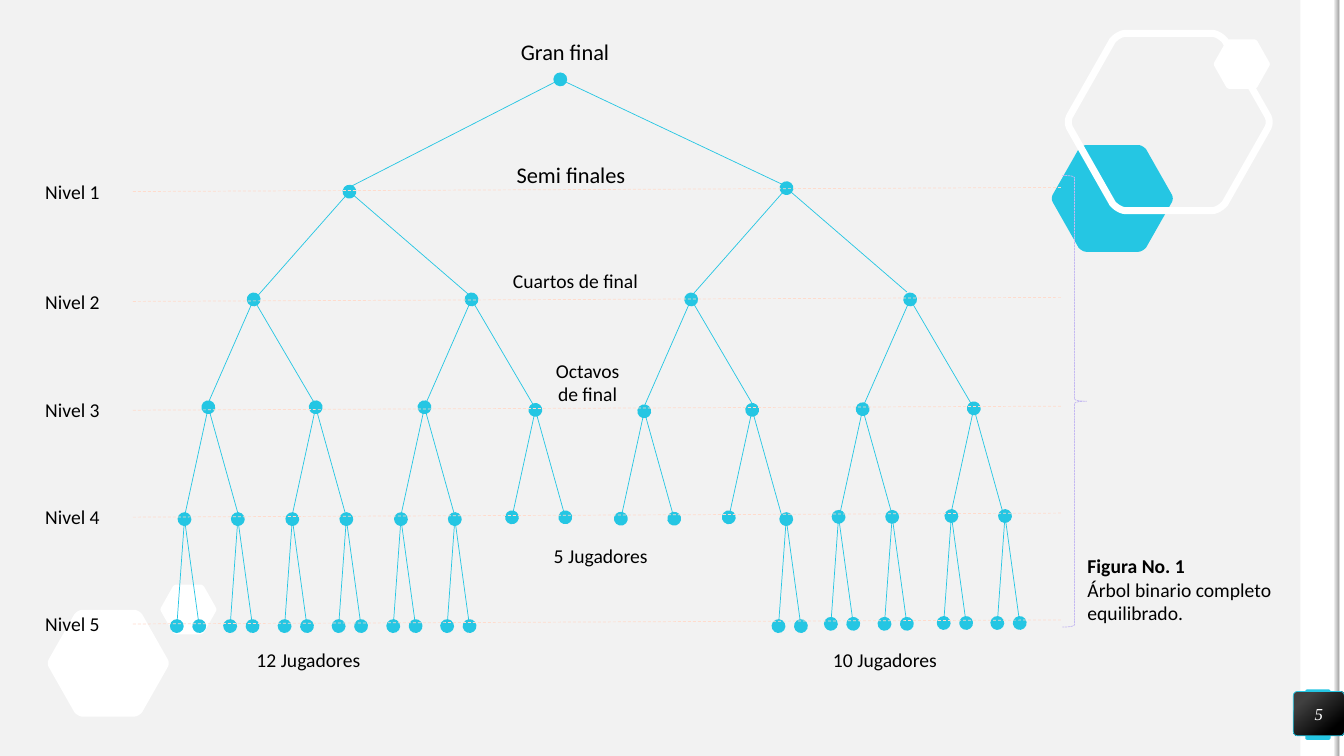
import pptx
import pptx.dml.color
import pptx.enum.dml
import pptx.enum.shapes
import pptx.enum.text
import pptx.oxml
import pptx.oxml.ns
import pptx.util

Pt = pptx.util.Pt
SHAPE = pptx.enum.shapes.MSO_SHAPE
DASH = pptx.enum.dml.MSO_LINE
ALIGN = pptx.enum.text.PP_ALIGN
NAMESPACE = pptx.oxml.ns.nsdecls("a")

COLOURS = {
    "page": "F2F2F2", "white": "FFFFFF", "black": "000000", "cyan": "25C6E3",
    "edge": "A6A6A6", "charcoal": "404040", "peach": "FFDBCC", "lilac": "C4B9F1",
}

TOP_LEFT_CORNER = [(0.289, 0), (0.264, 0), (0.24, 0.019), (0.223, 0.04)]
LEFT_CORNER = [(0.016, 0.456), (0, 0.483), (0, 0.517), (0.016, 0.544)]

HEXAGONS = [
    (33.8, 435.6, 87.1, 76.3, "white", None),
    (751, 103.6, 87.1, 76.3, "cyan", None),
    (762.5, 23.8, 144.7, 126.7, None, "white"),
    (114.5, 417.6, 40.3, 35.5, "white", None),
    (866.9, 28.1, 40.3, 35.5, "white", None),
]

# Each level: offsets to the left and right child, then forks as (x, y, dotted children).
LEVELS = [
    ((-5.5, 76.4), (10.5, 76.4),
     [(x, 370.8, "LR") for x in (131.8, 169.9, 208.8, 247.4, 286.4, 324.9, 561.6)]
     + [(599, 369.2, "LR"), (637.3, 369.2, "LR"), (679.6, 368.6, "LR"), (717.9, 368.6, "LR")]),
    ((-16.7, 76.7), (21.4, 76.7),
     [(148.8, 290.9, ""), (225.5, 290.9, ""), (303.2, 290.9, ""), (382.4, 292.8, "LR"),
      (460.2, 293.8, "LR"), (537.3, 292.8, "L"), (616.2, 292.3, ""), (695.6, 291.7, "")]),
    ((-33.8, 77), (43.9, 74.9),
     [(x, 213.9, "") for x in (181.2, 336.8, 493.7, 650.1)]),
    ((-67.5, 76.6), (86, 74.2), [(249.6, 136.9, ""), (561.8, 134.4, "")]),
    ((-150.5, 77), (161.3, 76.3), [(400.2, 56.7, "")]),
]

ROUNDS = [
    ("Gran final", 347.8, 23.8, 111.6, 16),
    ("Semi finales", 332.6, 111.6, 150.5, 16),
    ("Cuartos de final", 344.9, 188.6, 132.5, 14),
    ("Octavos\nde final", 353.5, 252.7, 132.5, 14),
    ("5 Jugadores", 362.9, 385.2, 132.5, 14),
    ("12 Jugadores", 154.1, 459.4, 132.5, 14),
    ("10 Jugadores", 565.9, 459.4, 132.5, 14),
]

LEVEL_LINES = [136.8, 215.3, 293, 369.4, 445.7]


def colour(name):
    return pptx.dml.color.RGBColor.from_string(COLOURS[name])


def paint(shape, fill=None, line=None, width=0.5):
    shape.shadow.inherit = False
    if fill:
        shape.fill.solid()
        shape.fill.fore_color.rgb = colour(fill)
    else:
        shape.fill.background()
    if line:
        shape.line.color.rgb = colour(line)
        shape.line.width = Pt(width)
    else:
        shape.line.fill.background()


def add_block(page, kind, left, top, width, height, fill=None, line=None):
    block = page.shapes.add_shape(kind, Pt(left), Pt(top), Pt(width), Pt(height))
    paint(block, fill, line)
    return block


def shade(shape, stops, angle):
    shape.fill.gradient()
    shape.fill.gradient_angle = angle
    for stop, (name, position) in zip(shape.fill.gradient_stops, stops):
        stop.color.rgb = colour(name)
        stop.position = position


def curve(corner, steps=6):
    for step in range(steps + 1):
        t = step / steps
        weights = ((1 - t) ** 3, 3 * t * (1 - t) ** 2, 3 * t * t * (1 - t), t ** 3)
        yield tuple(sum(w * point[axis] for w, point in zip(weights, corner)) for axis in (0, 1))


def add_hexagon(page, left, top, width, height, fill, line):
    upper = list(curve(TOP_LEFT_CORNER))
    half = upper + list(curve(LEFT_CORNER)) + [(x, 1 - y) for x, y in reversed(upper)]
    outline = half + [(1 - x, 1 - y) for x, y in half]
    points = [(Pt(left + x * width), Pt(top + y * height)) for x, y in outline]
    builder = page.shapes.build_freeform(*points[0])
    builder.add_line_segments(points[1:], close=True)
    paint(builder.convert_to_shape(), fill, line, 5)


def add_line(page, start, end, name, dash=None, dots=()):
    ends = [Pt(value) for value in (*start, *end)]
    line = page.shapes.add_connector(pptx.enum.shapes.MSO_CONNECTOR.STRAIGHT, *ends)
    line.line.color.rgb = colour(name)
    line.line.width = Pt(0.5)
    if dash:
        line.line.dash_style = dash
    for dot in dots:
        line.line._get_or_add_ln().append(pptx.oxml.parse_xml(
            f'<a:{dot} {NAMESPACE} type="oval" w="lg" len="lg"/>'))
    line._element.spPr.append(pptx.oxml.parse_xml(f"<a:effectLst {NAMESPACE}/>"))


def add_fork(page, x, y, left, right, dotted):
    for side, (across, down) in (("L", left), ("R", right)):
        dots = ["headEnd"] if side == "L" else []
        if side in dotted:
            dots.append("tailEnd")
        add_line(page, (x, y), (x + across, y + down), "cyan", dots=dots)


def add_label(page, text, left, top, width, size=14, align=ALIGN.LEFT):
    lines = text.split("\n")
    height = 7.2 + len(lines) * size * 1.22
    box = page.shapes.add_textbox(Pt(left), Pt(top), Pt(width), Pt(height))
    frame = box.text_frame
    frame.word_wrap = True
    frame.auto_size = pptx.enum.text.MSO_AUTO_SIZE.SHAPE_TO_FIT_TEXT
    frame.text = text
    for para in frame.paragraphs:
        para.alignment = align
        para.font.name = "Calibri"
        para.font.size = Pt(size)
        para.font.color.rgb = colour("black")
    return box


def add_page_number(page):
    badge = add_block(page, SHAPE.ROUNDED_RECTANGLE, 923.8, 493.9, 36.5, 31.7, line="cyan")
    badge.adjustments[0] = 0.095
    shade(badge, [("charcoal", 0.2), ("black", 0.82)], 310)
    frame = badge.text_frame
    frame.margin_left = frame.margin_right = frame.margin_top = frame.margin_bottom = 0
    frame.vertical_anchor = pptx.enum.text.MSO_ANCHOR.MIDDLE
    para = frame.paragraphs[0]
    para.text = "5"
    para.alignment = ALIGN.CENTER
    para.font.name = "Times New Roman"
    para.font.size = Pt(12)
    para.font.italic = True
    para.font.color.rgb = colour("white")


def add_decoration(page):
    add_block(page, SHAPE.RECTANGLE, 928.8, 0, 28.1, 540, "white")
    tab = add_block(page, SHAPE.ROUNDED_RECTANGLE, 932.4, 492.5, 18, 36, "cyan")
    tab.adjustments[0] = 0.074
    add_block(page, SHAPE.RECTANGLE, 956.5, 0, 3.6, 540, "white")
    edge = add_block(page, SHAPE.RECTANGLE, 952.9, 0, 3.6, 540)
    shade(edge, [("page", 0), ("edge", 1)], 0)
    for hexagon in HEXAGONS:
        add_hexagon(page, *hexagon)


def main():
    deck = pptx.Presentation()
    deck.slide_width, deck.slide_height = Pt(960), Pt(540)
    page = deck.slides.add_slide(deck.slide_layouts[6])
    page.background.fill.solid()
    page.background.fill.fore_color.rgb = colour("page")

    add_decoration(page)
    add_page_number(page)
    for left, right, forks in LEVELS:
        for x, y, dotted in forks:
            add_fork(page, x, y, left, right, dotted)
    for text, left, top, width, size in ROUNDS:
        add_label(page, text, left, top, width, size, ALIGN.CENTER)
    for number, y in enumerate(LEVEL_LINES, 1):
        add_line(page, (95, y), (758.9, y - 2.9), "peach", DASH.DASH)
        add_label(page, f"Nivel {number}", 25.2, y - 12.1, 65.5)

    brace = add_block(page, SHAPE.RIGHT_BRACE, 758.9, 125.3, 17.3, 322.6, line="lilac")
    brace.line.dash_style = DASH.SQUARE_DOT
    caption = add_label(page, "Figura No. 1\nÁrbol binario completo equilibrado.", 769.7, 392.4, 175)
    caption.text_frame.paragraphs[0].font.bold = True
    caption.height = Pt(58.3)
    deck.save("out.pptx")


if __name__ == "__main__":
    main()
